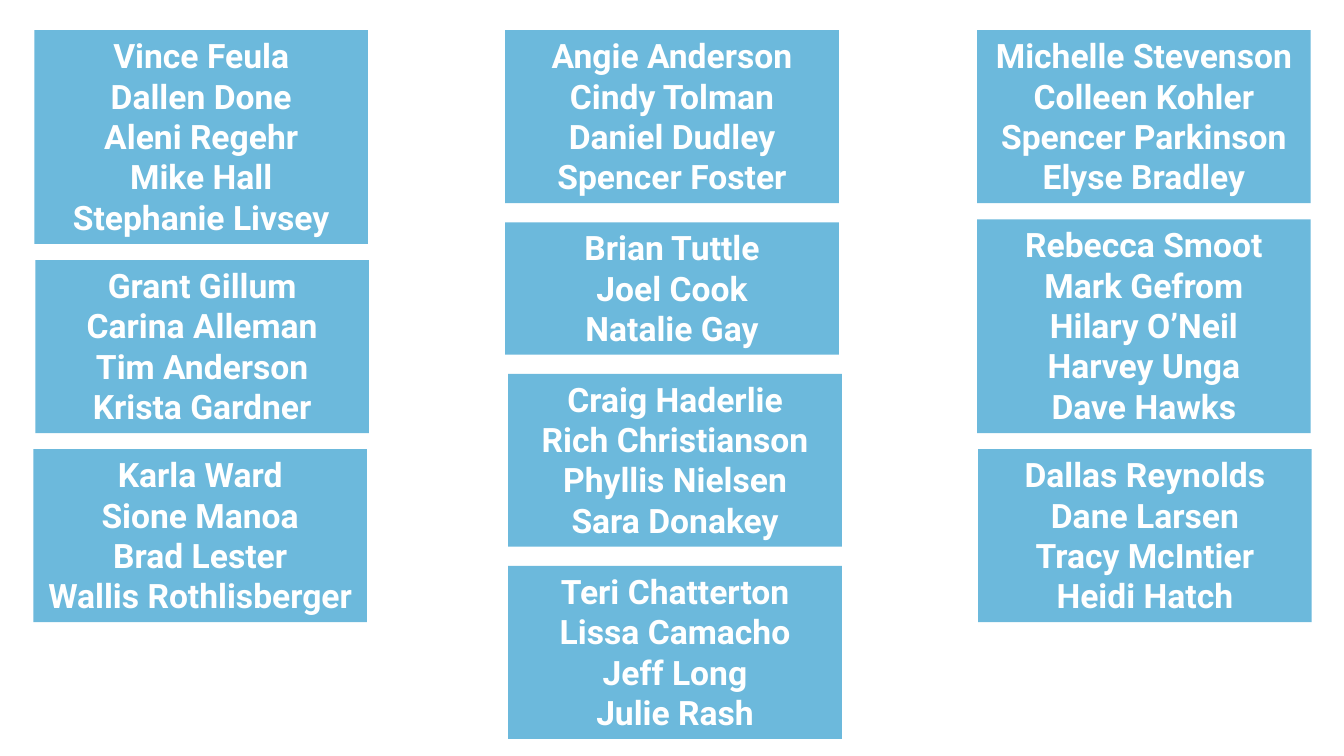
from pptx import Presentation
from pptx.dml.color import RGBColor
from pptx.enum.text import MSO_AUTO_SIZE, PP_ALIGN
from pptx.util import Inches, Pt

CENTER = PP_ALIGN.CENTER
GROW = MSO_AUTO_SIZE.SHAPE_TO_FIT_TEXT

COLORS = {"box": "6CB9DC", "text": "FFFFFF"}
FONT = "Roboto"
COLUMN_TOP = 0.3
BOX_WIDTH = 3.31
LINE_HEIGHT = 2.02 / 5
BOX_PADDING = 0.1  # top and bottom margins together

# Each column: gap between boxes, then its teams as (left, names)
COLUMNS = [
    (0.16, [
        (0.34, ["Vince Feula", "Dallen Done", "Aleni Regehr", "Mike Hall", "Stephanie Livsey"]),
        (0.35, ["Grant Gillum", "Carina Alleman", "Tim Anderson", "Krista Gardner"]),
        (0.33, ["Karla Ward", "Sione Manoa", "Brad Lester", "Wallis Rothlisberger"]),
    ]),
    (0.19, [
        (5.01, ["Angie Anderson", "Cindy Tolman", "Daniel Dudley", "Spencer Foster"]),
        (5.01, ["Brian Tuttle", "Joel Cook", "Natalie Gay"]),
        (5.04, ["Craig Haderlie", "Rich Christianson", "Phyllis Nielsen", "Sara Donakey"]),
        (5.04, ["Teri Chatterton", "Lissa Camacho", "Jeff Long", "Julie Rash"]),
    ]),
    (0.16, [
        (9.69, ["Michelle Stevenson", "Colleen Kohler", "Spencer Parkinson", "Elyse Bradley"]),
        (9.69, ["Rebecca Smoot", "Mark Gefrom", "Hilary O’Neil", "Harvey Unga", "Dave Hawks"]),
        (9.7, ["Dallas Reynolds", "Dane Larsen", "Tracy McIntier", "Heidi Hatch"]),
    ]),
]


def add_team(slide, left, top, width, height, names):
    """Add one filled box with a centred name on each line."""
    box = slide.shapes.add_textbox(Inches(left), Inches(top), Inches(width), Inches(height))
    box.fill.solid()
    box.fill.fore_color.rgb = RGBColor.from_string(COLORS["box"])
    text_frame = box.text_frame
    text_frame.word_wrap = True
    text_frame.auto_size = GROW
    text_frame.text = "\n".join(names)
    for paragraph in text_frame.paragraphs:
        paragraph.alignment = CENTER
        font = paragraph.runs[0].font
        font.name = FONT
        font.size = Pt(24)
        font.bold = True
        font.color.rgb = RGBColor.from_string(COLORS["text"])


def add_column(slide, top, gap, teams):
    """Stack the team boxes downwards from top."""
    for left, names in teams:
        height = BOX_PADDING + LINE_HEIGHT * len(names)
        add_team(slide, left, top, BOX_WIDTH, height, names)
        top += height + gap


def main():
    presentation = Presentation()
    presentation.slide_width = Inches(13.33)
    presentation.slide_height = Inches(7.5)
    # Blank layout: the slide has no title
    slide = presentation.slides.add_slide(presentation.slide_layouts[6])
    for gap, teams in COLUMNS:
        add_column(slide, COLUMN_TOP, gap, teams)
    presentation.save("out.pptx")


if __name__ == "__main__":
    main()
